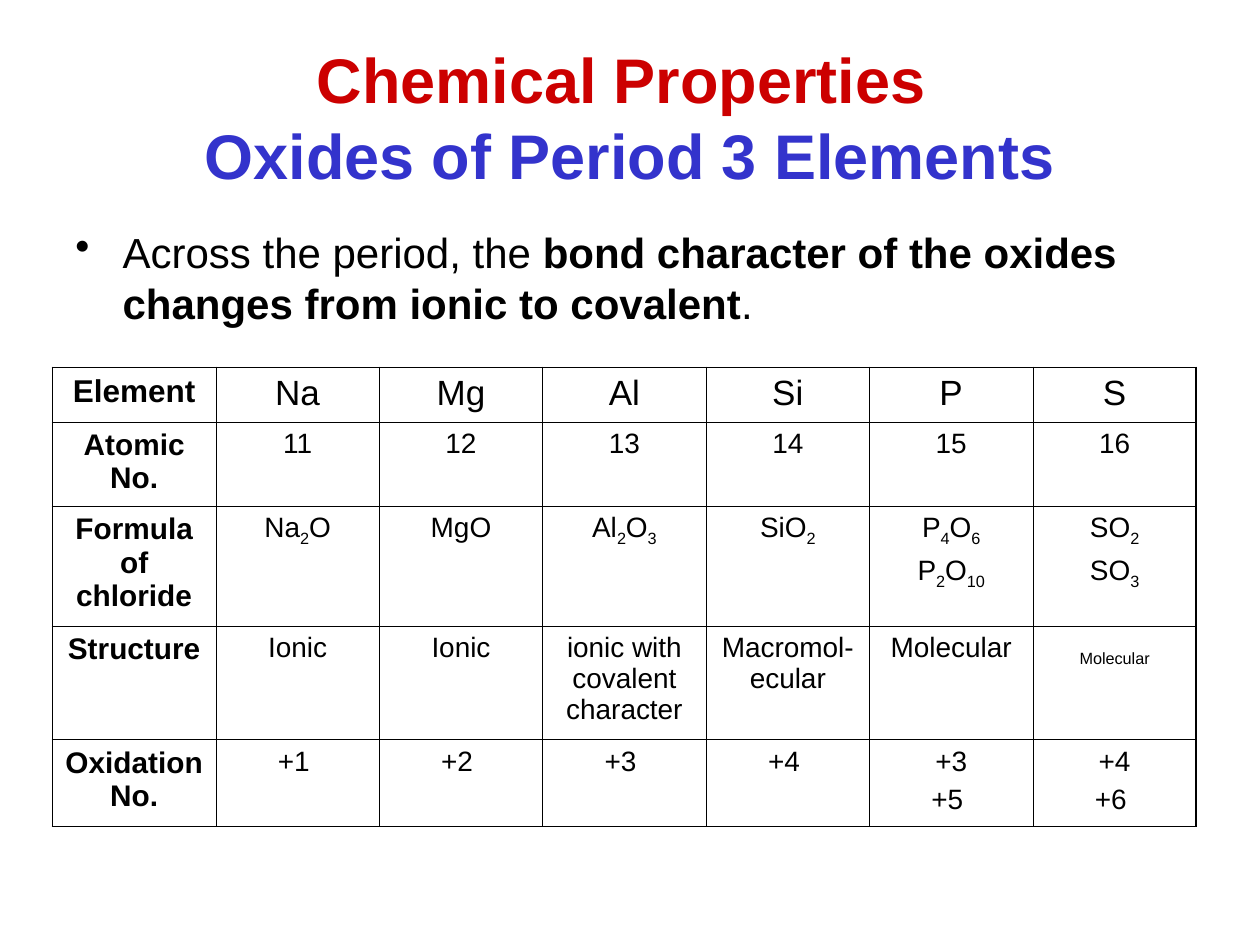
import pptx
import pptx.util
import pptx.dml.color
import pptx.enum.text
import pptx.oxml
import pptx.oxml.ns
import lxml.etree

Pt = pptx.util.Pt
ALIGN = pptx.enum.text.PP_ALIGN
ANCHOR = pptx.enum.text.MSO_ANCHOR
COLORS = {"ink": "000000", "red": "CC0000", "blue": "3333CC"}

ROWS = [
    ["Element", "Na", "Mg", "Al", "Si", "P", "S"],
    ["Atomic No.", "11", "12", "13", "14", "15", "16"],
    ["Formula of chloride", "Na_2_O", "MgO", "Al_2_O_3", "SiO_2",
     "P_4_O_6\nP_2_O_10", "SO_2\nSO_3"],
    ["Structure", "Ionic", "Ionic", "ionic with covalent character",
     "Macromol-ecular", "Molecular", "_Molecular"],
    ["Oxidation No.", "+1 ", "+2 ", "+3 ", "+4 ", "+3\n+5 ", "+4\n+6 "],
]
ROW_HEIGHTS = [31.2, 48, 68.6, 64.6, 49.6]
COLUMN_WIDTH = 93.4
THIN, THICK = 0.45, 1.08


def rgb(name):
    return pptx.dml.color.RGBColor.from_string(COLORS[name])


def set_font(font, size, bold=None, color="ink"):
    font.name = "Arial"
    font.size = Pt(size)
    font.bold = bold
    font.color.rgb = rgb(color)


def place(shape, left, top, width, height):
    shape.left, shape.top = Pt(left), Pt(top)
    shape.width, shape.height = Pt(width), Pt(height)


def add_title(page, lines):
    title = page.shapes.title
    place(title, 36, 21.6, 648, 90)
    frame = title.text_frame
    frame.word_wrap = True
    frame.auto_size = pptx.enum.text.MSO_AUTO_SIZE.NONE
    frame.vertical_anchor = ANCHOR.MIDDLE
    para = frame.paragraphs[0]
    para.alignment = ALIGN.CENTER
    for index, (text, color) in enumerate(lines):
        if index:
            para.add_line_break()
        span = para.add_run()
        span.text = text
        set_font(span.font, 36, True, color)


def add_bullet(page, parts):
    box = page.shapes.add_textbox(Pt(36), Pt(126), Pt(648), Pt(96))
    frame = box.text_frame
    frame.word_wrap = True
    para = frame.paragraphs[0]
    para.space_before = Pt(6)
    properties = para._p.get_or_add_pPr()
    properties.set("marL", str(Pt(27)))
    properties.set("indent", str(-Pt(27)))
    bullet = lxml.etree.SubElement(properties, pptx.oxml.ns.qn("a:buChar"))
    bullet.set("char", "•")
    set_font(para.font, 24)
    for text, bold in parts:
        span = para.add_run()
        span.text = text
        span.font.bold = bold


def write_formula(para, text):
    for index, part in enumerate(text.split("_")):
        if part:
            span = para.add_run()
            span.text = part
            if index % 2:
                span._r.get_or_add_rPr().set("baseline", "-25000")


def set_borders(cell, widths):
    properties = cell._tc.get_or_add_tcPr()
    for index, (side, width) in enumerate(widths.items()):
        properties.insert(index, pptx.oxml.parse_xml(
            f'<a:ln{side} {pptx.oxml.ns.nsdecls("a")} w="{Pt(width)}">'
            f'<a:solidFill><a:srgbClr val="{COLORS["ink"]}"/></a:solidFill>'
            f'</a:ln{side}>'))


def fill_cell(cell, text, size, bold):
    cell.fill.background()
    frame = cell.text_frame
    for index, line in enumerate(text.split("\n")):
        para = frame.add_paragraph() if index else frame.paragraphs[0]
        para.alignment = ALIGN.CENTER
        para.space_before = Pt(size / 4)
        set_font(para.font, size, bold)
        write_formula(para, line)


def add_oxide_table(page):
    row_count, column_count = len(ROWS), len(ROWS[0])
    table = page.shapes.add_table(
        row_count, column_count, Pt(30), Pt(210),
        Pt(COLUMN_WIDTH * column_count), Pt(sum(ROW_HEIGHTS))).table
    table.first_row = table.horz_banding = False
    for column in table.columns:
        column.width = Pt(COLUMN_WIDTH)
    for row, (height, texts) in enumerate(zip(ROW_HEIGHTS, ROWS)):
        table.rows[row].height = Pt(height)
        for column, text in enumerate(texts):
            heading = column == 0
            if row == 0:
                size = 18 if heading else 20
            else:
                size = 17 if heading else 16
            cell = table.cell(row, column)
            fill_cell(cell, text, size, heading)
            set_borders(cell, {
                "L": THICK if heading else THIN,
                "R": THICK if column == column_count - 1 else THIN,
                "T": THICK if row == 0 else THIN,
                "B": THICK if row == row_count - 1 else THIN,
            })


def main():
    deck = pptx.Presentation()
    deck.slide_width, deck.slide_height = Pt(720), Pt(540)
    page = deck.slides.add_slide(deck.slide_layouts[5])
    add_title(page, [("Chemical Properties ", "red"),
                     ("Oxides of Period 3 Elements", "blue")])
    add_bullet(page, [
        ("Across the period, the ", False),
        ("bond character of the oxides changes from ionic to covalent", True),
        (".", False),
    ])
    add_oxide_table(page)
    deck.save("out.pptx")


main()
